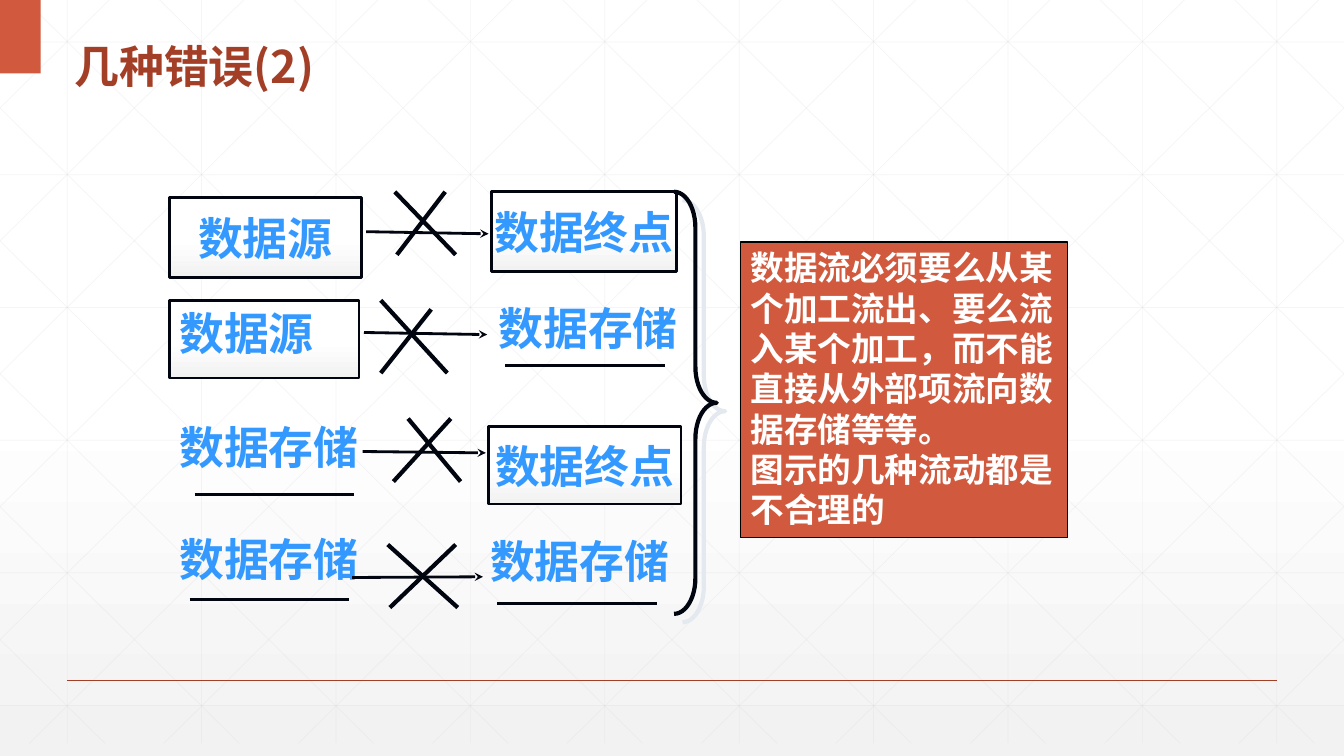
from lxml import etree
from pptx import Presentation
from pptx.dml.color import RGBColor
from pptx.enum import shapes as es, text as et
from pptx.oxml import ns
from pptx.util import Pt

WIDE, HIGH, DEEP = 960, 540, 531
FACE = "Noto Sans CJK SC"
INK, BLUE, RED, RUST = "01050F", "3399FF", "D15A3E", "A43F27"
TOP, MID = et.MSO_ANCHOR.TOP, et.MSO_ANCHOR.MIDDLE
LEFT, MIDST = et.PP_ALIGN.LEFT, et.PP_ALIGN.CENTER

BOXES = [
    (121, 141, 137, 57, "数据源", MID, MIDST),
    (351, 137, 132.5, 57, "数据终点", MID, MIDST),
    (121, 214.5, 135.5, 55.5, "数据源", TOP, LEFT),
    (349, 304.5, 137.5, 55.5, "数据终点", MID, MIDST),
]
STORES = [
    (349, 211, 361, 261),
    (121, 296.5, 139, 353),
    (343, 378, 355, 431),
    (121, 376.5, 135.5, 428.5),
]
FLOWS = [
    (261.5, 165.5, 349, 167),
    (260, 237.5, 348, 239),
    (259, 322.5, 347, 323.5),
    (251.5, 412.5, 345, 412),
]
CROSSES = [
    (282, 137, 325.5, 182), (318, 137, 283.5, 182),
    (272, 214.5, 319.5, 266.5), (308, 221, 272, 266.5),
    (291.5, 299, 329, 344), (322, 299, 281, 344),
    (277, 389, 327, 434), (325.5, 389, 278.5, 434),
]
NOTE = [
    "数据流必须要么从某个加工流出、要么流入某个加工，而不能直接从外部项流向数据存储等等。",
    "图示的几种流动都是不合理的",
]


def tint(code):
    """Turn a hex string into a colour."""
    return RGBColor.from_string(code)


def sub(node, tag, **vals):
    """Append an XML child with the given attributes."""
    return etree.SubElement(node, ns.qn(tag), vals)


def shade(fill):
    """Give a fill the pale vertical gradient."""
    fill.gradient()
    fill.gradient_angle = 270
    for stop, (spot, code) in zip(fill.gradient_stops, [(0.53, "FFFFFF"), (1, "F2F2F2")]):
        stop.position = spot
        stop.color.rgb = tint(code)


def write(frame, lines, size, code, align=LEFT, **form):
    """Fill a text frame with bold lines."""
    for key, val in form.items():
        setattr(frame, key, val)
    frame.text = "\n".join(lines)
    look = {"name": FACE, "size": Pt(size), "bold": True}
    for para in frame.paragraphs:
        para.alignment = align
        for run in para.runs:
            for key, val in look.items():
                setattr(run.font, key, val)
            run.font.color.rgb = tint(code)
            sub(run.font._element, "a:ea", typeface=FACE)


def stroke(slide, ends, code=INK, width=2, head=False, alpha=None):
    """Draw a straight line, with an arrowhead or transparency if asked."""
    line = slide.shapes.add_connector(es.MSO_CONNECTOR.STRAIGHT, *map(Pt, ends))
    line.line.width = Pt(width)
    line.line.color.rgb = tint(code)
    edge = line.line._get_or_add_ln()
    if alpha:
        sub(edge.find(".//" + ns.qn("a:srgbClr")), "a:alpha", val=str(alpha * 1000))
    if head:
        sub(edge, "a:tailEnd", type="stealth")
    sub(line._element.spPr, "a:effectLst")


def block(slide, area, fill=None, edge=None, width=2, kind=es.MSO_SHAPE.RECTANGLE):
    """Draw a preset shape without the theme shadow."""
    shape = slide.shapes.add_shape(kind, *map(Pt, area))
    shape.shadow.inherit = False
    if fill:
        shape.fill.solid()
        shape.fill.fore_color.rgb = tint(fill)
    else:
        shape.fill.background()
    if edge:
        shape.line.color.rgb = tint(edge)
        shape.line.width = Pt(width)
    else:
        shape.line.fill.background()
    return shape


def grid(slide):
    """Draw the faint square and diagonal grid."""
    rays = [(48 + 96 * i, 0, 48 + 96 * i, DEEP) for i in range(10)]
    rays += [(0, 30 + 94.8 * i, WIDE, 30 + 94.8 * i) for i in range(6)]
    span = 537
    for i in range(-5, 10):
        base = 18 + 96 * i
        left, right = max(0, base), min(WIDE, base + span)
        high, low = ((x - base) * DEEP / span for x in (left, right))
        rays.append((left, high, right, low))
        rays.append((WIDE - left, high, WIDE - right, low))
    for ray in rays:
        stroke(slide, ray, "D9D9D9", 0.5, alpha=25)


def head(slide):
    """Format the title and bring it above the grid."""
    title = slide.shapes.title
    area = {"left": 46, "top": 14.5, "width": 410, "height": 52.5}
    for key, val in area.items():
        setattr(title, key, Pt(val))
    write(title.text_frame, ["几种错误(2)"], 32, RUST, vertical_anchor=MID,
          word_wrap=True, auto_size=et.MSO_AUTO_SIZE.NONE)
    title.text_frame.paragraphs[0].line_spacing = 1.3
    title.element.getparent().append(title.element)


def store(slide, left, top, start, base):
    """Draw a data store: a label over a rule."""
    label = slide.shapes.add_textbox(*map(Pt, (left, top, 143, 45.5)))
    write(label.text_frame, ["数据存储"], 32, BLUE, word_wrap=False)
    stroke(slide, (start, base, start + 114, base))


def brace(slide):
    """Draw the right brace with its pale shadow."""
    shape = block(slide, (481.5, 137, 30.5, 301.5), None, INK, 3, es.MSO_SHAPE.RIGHT_BRACE)
    shape.adjustments[0] = 0.84
    glow = shape._element.spPr.find(ns.qn("a:effectLst"))
    cast = sub(glow, "a:outerShdw", dist=str(Pt(8.5)), dir="2700000",
               algn="ctr", rotWithShape="0")
    sub(cast, "a:srgbClr", val="E4E9EF")


def main():
    """Build and save the slide."""
    deck = Presentation()
    deck.slide_width, deck.slide_height = Pt(WIDE), Pt(HIGH)
    slide = deck.slides.add_slide(deck.slide_layouts[5])
    shade(slide.background.fill)
    grid(slide)
    stroke(slide, (48, 486, 912, 486), RUST, 1)
    block(slide, (0, 0, 29, 52.5), RED)
    head(slide)
    for *area, word, anchor, align in BOXES:
        box = block(slide, area, None, INK)
        shade(box.fill)
        write(box.text_frame, [word], 32, BLUE, align,
              vertical_anchor=anchor, word_wrap=False)
    for spot in STORES:
        store(slide, *spot)
    for ends in FLOWS:
        stroke(slide, ends, head=True)
    for ends in CROSSES:
        stroke(slide, ends, width=3)
    note = block(slide, (529, 173, 233.5, 211), RED, "000000", 1)
    write(note.text_frame, NOTE, 24, "FFFFFF", vertical_anchor=TOP, word_wrap=True)
    brace(slide)
    deck.save("out.pptx")


if __name__ == "__main__":
    main()
